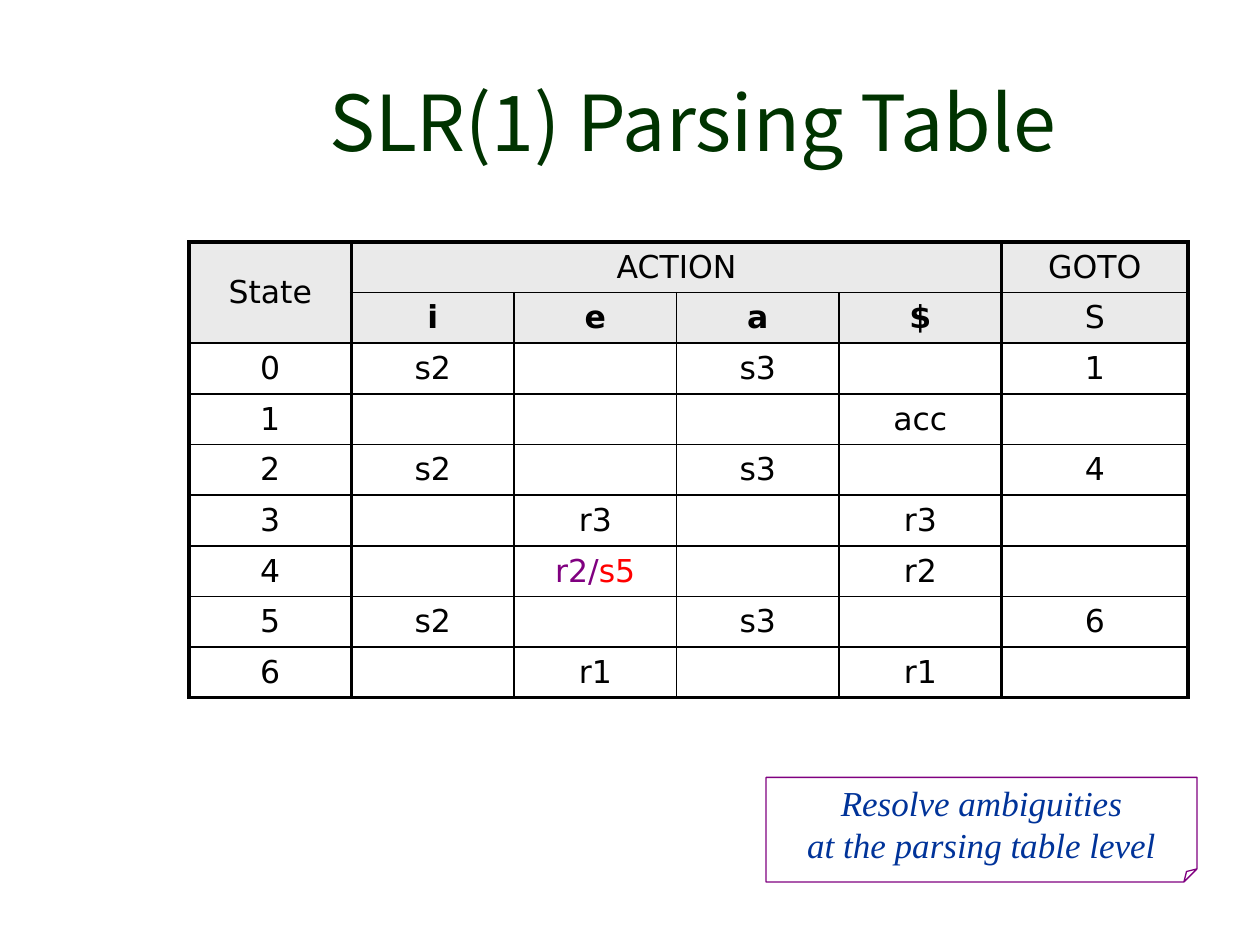
from lxml.etree import SubElement
from pptx import Presentation
from pptx.dml.color import RGBColor
from pptx.enum.shapes import MSO_SHAPE as Shape
from pptx.enum.text import MSO_ANCHOR as Anchor, PP_ALIGN as Align
from pptx.oxml.ns import qn
from pptx.util import Inches, Pt

COLORS = {
    "title": "003300",
    "text": "000000",
    "border": "000000",
    "header": "EAEAEA",
    "body": "FFFFFF",
    "reduce": "800080",
    "shift": "FF0000",
    "note": "003399",
    "note_line": "800080",
}
ROWS = [
    ["State", "ACTION", "", "", "", "GOTO"],
    ["", "i", "e", "a", "$", "S"],
    ["0", "s2", "", "s3", "", "1"],
    ["1", "", "", "", "acc", ""],
    ["2", "s2", "", "s3", "", "4"],
    ["3", "", "r3", "", "r3", ""],
    ["4", "", "r2/s5", "", "r2", ""],
    ["5", "s2", "", "s3", "", "6"],
    ["6", "", "r1", "", "r1", ""],
]
COLUMN_WIDTHS = [1.29] * 5 + [1.48]
HEADER_ROWS = 2
HEAVY_COLUMN_EDGES = {0, 1, 5, 6}
HEAVY_ROW_EDGES = {0, len(ROWS)}


def color(name):
    """Return the named colour."""
    return RGBColor.from_string(COLORS[name])


def style_paragraph(paragraph, font_name, size, color_name):
    """Centre a paragraph and set its font."""
    paragraph.alignment = Align.CENTER
    paragraph.font.name = font_name
    paragraph.font.size = Pt(size)
    paragraph.font.color.rgb = color(color_name)


def add_title(slide, text):
    """Fill and place the title placeholder."""
    title = slide.shapes.title
    title.left, title.top = Inches(1.5), Inches(0.33)
    title.width, title.height = Inches(8), Inches(1.25)
    title.text_frame.text = text
    title.text_frame.vertical_anchor = Anchor.MIDDLE
    style_paragraph(title.text_frame.paragraphs[0], "Noto Sans CJK SC", 44, "title")


def set_border(cell, side, heavy):
    """Draw one side of a cell with a heavy or thin line."""
    properties = cell._tc.get_or_add_tcPr()
    line = SubElement(properties, qn(f"a:ln{side}"), w=str(Pt(2.25 if heavy else 1)))
    fill = SubElement(line, qn("a:solidFill"))
    SubElement(fill, qn("a:srgbClr"), val=COLORS["border"])


def style_cell(cell, row, column):
    """Set the borders, fill and font of a cell from its grid position."""
    set_border(cell, "L", column in HEAVY_COLUMN_EDGES)
    set_border(cell, "R", column + cell.span_width in HEAVY_COLUMN_EDGES)
    set_border(cell, "T", row in HEAVY_ROW_EDGES)
    set_border(cell, "B", row + cell.span_height in HEAVY_ROW_EDGES)
    cell.fill.solid()
    cell.fill.fore_color.rgb = color("header" if row < HEADER_ROWS else "body")
    cell.vertical_anchor = Anchor.MIDDLE
    paragraph = cell.text_frame.paragraphs[0]
    style_paragraph(paragraph, "DejaVu Sans", 18, "text")
    paragraph.font.bold = row == 1 and 1 <= column <= 4


def write_cell(cell, text):
    """Write a cell, colouring the two sides of a conflict."""
    reduce_action, slash, shift_action = text.partition("/")
    if not slash:
        cell.text = text
        return
    paragraph = cell.text_frame.paragraphs[0]
    for part, name in ((reduce_action + slash, "reduce"), (shift_action, "shift")):
        run = paragraph.add_run()
        run.text = part
        run.font.color.rgb = color(name)


def add_parsing_table(slide):
    """Add the table of actions and gotos."""
    frame = slide.shapes.add_table(
        len(ROWS), len(COLUMN_WIDTHS),
        Inches(1.5), Inches(1.92), Inches(sum(COLUMN_WIDTHS)), Inches(3.62),
    )
    table = frame.table
    for column, width in zip(table.columns, COLUMN_WIDTHS):
        column.width = Inches(width)
    table.cell(0, 0).merge(table.cell(1, 0))
    table.cell(0, 1).merge(table.cell(0, 4))
    for row, texts in enumerate(ROWS):
        for column, text in enumerate(texts):
            cell = table.cell(row, column)
            write_cell(cell, text)
            style_cell(cell, row, column)


def set_fold(shape, fraction):
    """Set the size of the folded corner as a fraction of the short side."""
    guides = shape._element.spPr.find(qn("a:prstGeom")).get_or_add_avLst()
    SubElement(guides, qn("a:gd"), name="adj", fmla=f"val {round(fraction * 100000)}")


def add_note(slide, lines):
    """Add the folded-corner note."""
    note = slide.shapes.add_shape(
        Shape.FOLDED_CORNER, Inches(6.08), Inches(6.17), Inches(3.42), Inches(0.83)
    )
    set_fold(note, 0.125)
    note.shadow.inherit = False
    note.fill.background()
    note.line.color.rgb = color("note_line")
    note.line.width = Pt(0.75)
    frame = note.text_frame
    frame.text = "\n".join(lines)
    frame.word_wrap = False
    frame.vertical_anchor = Anchor.MIDDLE
    for paragraph in frame.paragraphs:
        style_paragraph(paragraph, "Times New Roman", 20, "note")
        paragraph.font.italic = True


def main():
    """Build and save the slide."""
    presentation = Presentation()
    presentation.slide_width, presentation.slide_height = Inches(10), Inches(7.5)
    slide = presentation.slides.add_slide(presentation.slide_layouts[5])
    add_title(slide, "SLR(1) Parsing Table")
    add_parsing_table(slide)
    add_note(slide, ["Resolve ambiguities", "at the parsing table level"])
    presentation.save("out.pptx")


if __name__ == "__main__":
    main()
